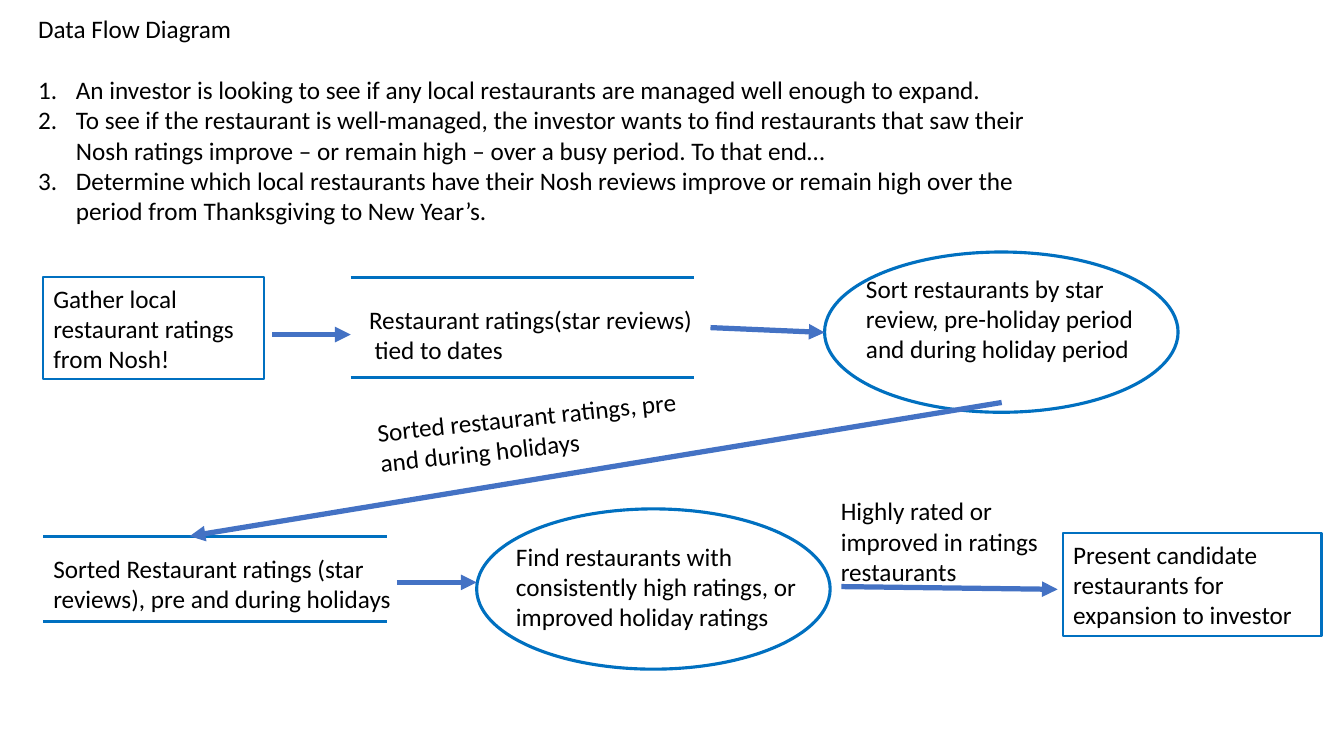
from dataclasses import dataclass

from lxml import etree
from pptx import Presentation
from pptx.dml.color import RGBColor
from pptx.enum.shapes import MSO_CONNECTOR, MSO_SHAPE
from pptx.enum.text import MSO_ANCHOR, MSO_AUTO_SIZE, PP_ALIGN
from pptx.oxml.ns import qn
from pptx.util import Pt

RECTANGLE = MSO_SHAPE.RECTANGLE
OVAL = MSO_SHAPE.OVAL
STRAIGHT = MSO_CONNECTOR.STRAIGHT
TOP = MSO_ANCHOR.TOP
MIDDLE = MSO_ANCHOR.MIDDLE
LEFT = PP_ALIGN.LEFT
NO_AUTOFIT = MSO_AUTO_SIZE.NONE


@dataclass(frozen=True)
class Theme:
    font: str = "Calibri"
    size: float = 18
    ink: RGBColor = RGBColor(0x00, 0x00, 0x00)
    outline: RGBColor = RGBColor(0x00, 0x70, 0xC0)
    arrow: RGBColor = RGBColor(0x44, 0x72, 0xC4)
    entity_width: float = 1.5
    outline_width: float = 2.25
    arrow_width: float = 3.75


THEME = Theme()
PROCESS_SIZE = (252.5, 114.5)
STORE_WIDTH = 245.5

GOALS = [
    "An investor is looking to see if any local restaurants are managed well enough to expand.",
    "To see if the restaurant is well-managed, the investor wants to find restaurants that saw "
    "their Nosh ratings improve – or remain high – over a busy period. To that end…",
    "Determine which local restaurants have their Nosh reviews improve or remain high over the "
    "period from Thanksgiving to New Year’s.",
]


def place(shape, left, top, width, height):
    shape.left, shape.top = Pt(left), Pt(top)
    shape.width, shape.height = Pt(width), Pt(height)


def write(shape, paragraphs, anchor=TOP, hanging=0, numbered=False):
    frame = shape.text_frame
    frame.word_wrap = True
    frame.auto_size = NO_AUTOFIT
    frame.vertical_anchor = anchor
    for index, wording in enumerate(paragraphs):
        paragraph = frame.add_paragraph() if index else frame.paragraphs[0]
        paragraph.alignment = LEFT
        paragraph.space_before = paragraph.space_after = Pt(0)
        properties = paragraph._p.get_or_add_pPr()
        properties.set("marL", str(Pt(hanging)))
        properties.set("indent", str(-Pt(hanging)))
        if numbered:
            numbering = etree.SubElement(properties, qn("a:buAutoNum"))
            numbering.set("type", "arabicPeriod")
        run = paragraph.add_run()
        run.text = wording
        run.font.name = THEME.font
        run.font.size = Pt(THEME.size)
        run.font.color.rgb = THEME.ink


def add_label(slide, wording, left, top, width, height, rotation=0, hanging=0):
    label = slide.shapes.add_textbox(Pt(left), Pt(top), Pt(width), Pt(height))
    label.rotation = rotation
    write(label, [wording], hanging=hanging)


def add_outline(slide, preset, left, top, width, height, weight):
    outline = slide.shapes.add_shape(preset, Pt(left), Pt(top), Pt(width), Pt(height))
    outline.shadow.inherit = False
    outline.fill.background()
    outline.line.color.rgb = THEME.outline
    outline.line.width = Pt(weight)
    return outline


def add_entity(slide, wording, left, top, width, height):
    entity = add_outline(slide, RECTANGLE, left, top, width, height, THEME.entity_width)
    write(entity, [wording], anchor=MIDDLE)


def add_process(slide, left, top, wording, label_box):
    add_outline(slide, OVAL, left, top, *PROCESS_SIZE, THEME.outline_width)
    add_label(slide, wording, *label_box)


def add_line(slide, start, end, color, weight):
    line = slide.shapes.add_connector(STRAIGHT, *map(Pt, start + end))
    line.line.color.rgb = color
    line.line.width = Pt(weight)
    etree.SubElement(line._element.spPr, qn("a:effectLst"))
    return line


def add_flow(slide, start, end):
    flow = add_line(slide, start, end, THEME.arrow, THEME.arrow_width)
    head = etree.SubElement(flow.line._get_or_add_ln(), qn("a:tailEnd"))
    head.set("type", "triangle")


def add_store(slide, left, top, bottom, wording, label_box, hanging=0):
    for y in (top, bottom):
        add_line(slide, (left, y), (left + STORE_WIDTH, y), THEME.outline, THEME.outline_width)
    add_label(slide, wording, *label_box, hanging=hanging)


def main():
    deck = Presentation()
    deck.slide_width, deck.slide_height = Pt(960), Pt(540)
    slide = deck.slides.add_slide(deck.slide_layouts[1])

    title, goals = slide.placeholders
    place(title, 20, 6, 735, 30)
    write(title, ["Data Flow Diagram"])
    place(goals, 20, 49.5, 735, 118)
    write(goals, GOALS, hanging=27, numbered=True)

    add_entity(slide, "Gather local restaurant ratings from Nosh!", 31, 198, 157.5, 73)
    add_store(slide, 250.5, 198, 269.5, "Restaurant ratings(star reviews) tied to dates",
              (256.5, 214, 245.5, 51), hanging=4)
    add_process(slide, 589, 180,
                "Sort restaurants by star review, pre-holiday period and during holiday period",
                (611.5, 191.5, 230.5, 94.5))

    add_store(slide, 31, 383, 444,
              "Sorted Restaurant ratings (star reviews), pre and during holidays",
              (31, 391.5, 265.5, 51))
    add_process(slide, 340.5, 363.5,
                "Find restaurants with consistently high ratings, or improved holiday ratings",
                (361.5, 383, 216.5, 73))
    add_entity(slide, "Present candidate restaurants for expansion to investor",
               759.5, 381, 184.5, 73)

    flows = [
        ((194.5, 239), (250.5, 239)),
        ((507.5, 234), (589, 237.5)),
        ((715.5, 287.5), (135.5, 383)),
        ((283.5, 416), (340.5, 416)),
        ((601, 419), (755.5, 421)),
    ]
    for start, end in flows:
        add_flow(slide, start, end)
    add_label(slide, "Sorted restaurant ratings, pre and during holidays",
              263, 283, 232, 51, rotation=354)
    add_label(slide, "Highly rated or improved in ratings restaurants", 593.5, 350.5, 174, 73)

    deck.save("out.pptx")


if __name__ == "__main__":
    main()
